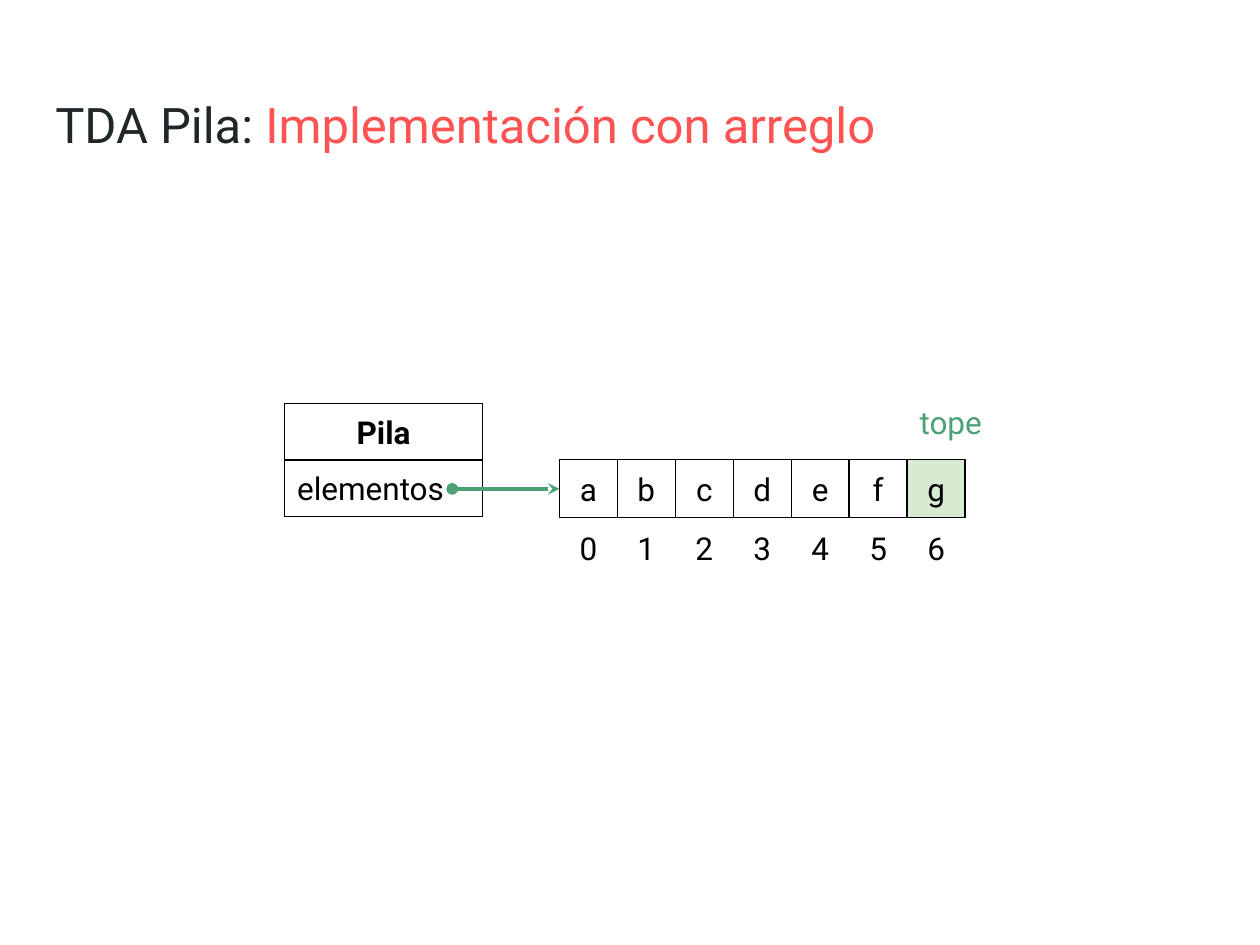
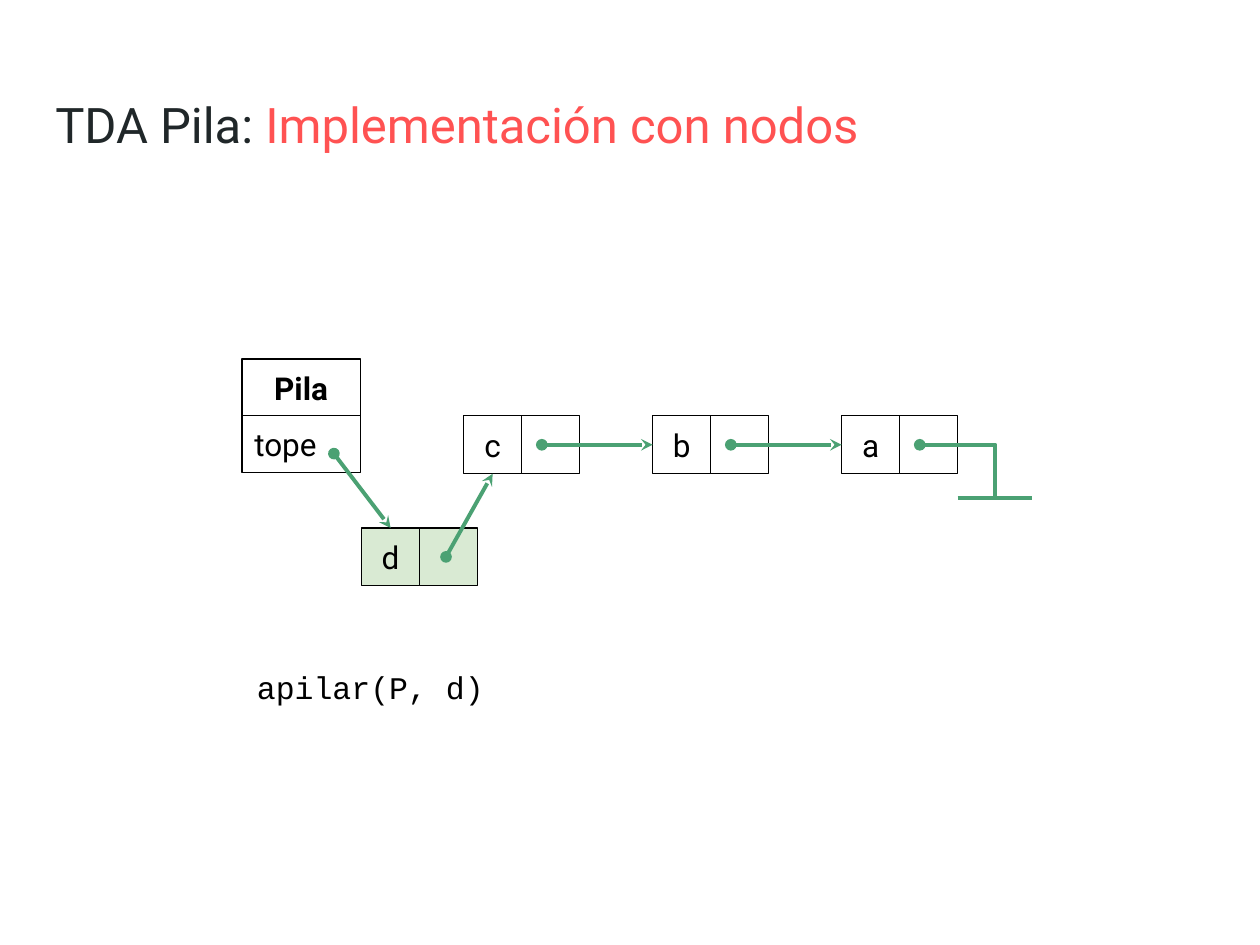
import pptx
import pptx.dml.color
import pptx.enum.shapes
import pptx.enum.text
import pptx.oxml.ns
import pptx.util
from lxml import etree

Inches = pptx.util.Inches
rgb = pptx.dml.color.RGBColor.from_string
qn = pptx.oxml.ns.qn
ALIGN = pptx.enum.text.PP_ALIGN
ANCHOR = pptx.enum.text.MSO_ANCHOR
RECT = pptx.enum.shapes.MSO_SHAPE.RECTANGLE
STRAIGHT = pptx.enum.shapes.MSO_CONNECTOR.STRAIGHT

DARK, RED, GREEN, BLACK = "202729", "FF5252", "4BA173", "000000"
WHITE, PALE = "FFFFFF", "D9EAD3"
CELL = 0.46
ROW = 0.45


def add_text(s, runs, x, y, w, h, size=18, font="Roboto", color=BLACK, bold=False,
             align=ALIGN.LEFT, anchor=ANCHOR.MIDDLE, framed=False, fill=None):
    """Add a text box, or a framed rectangle; runs is a string or (text, colour) pairs."""
    at = Inches(x), Inches(y), Inches(w), Inches(h)
    if framed:
        sp = s.shapes.add_shape(RECT, *at)
        sp.shadow.inherit = False
        sp.line.color.rgb = rgb(BLACK)
        sp.line.width = pptx.util.Pt(0.75)
    else:
        sp = s.shapes.add_textbox(*at)
    if fill:
        sp.fill.solid()
        sp.fill.fore_color.rgb = rgb(fill)
    else:
        sp.fill.background()
    tf = sp.text_frame
    tf.word_wrap = True
    tf.vertical_anchor = anchor
    tf.margin_left = tf.margin_right = tf.margin_top = tf.margin_bottom = Inches(0.1)
    p = tf.paragraphs[0]
    p.alignment = align
    for text, run_color in [(runs, color)] if isinstance(runs, str) else runs:
        r = p.add_run()
        r.text = text
        r.font.size = pptx.util.Pt(size)
        r.font.name = font
        r.font.bold = bold
        r.font.color.rgb = rgb(run_color)
    return sp


def style_line(sp, head=None, tail=None):
    sp.line.color.rgb = rgb(GREEN)
    sp.line.width = pptx.util.Pt(2.25)
    spPr = sp._element.spPr
    for tag, kind in (("a:headEnd", head), ("a:tailEnd", tail)):
        if kind:
            etree.SubElement(spPr.find(qn("a:ln")), qn(tag), type=kind)
    etree.SubElement(spPr, qn("a:effectLst"))


prs = pptx.Presentation()
prs.slide_width = Inches(10)
prs.slide_height = Inches(7.5)

# Title and stack record of both slides
slides = []
for topic, field, x, y, w in (("Implementación con arreglo", "elementos", 2.26, 3.2, 1.57),
                              ("Implementación con nodos", "tope", 1.92, 2.85, 0.94)):
    s = prs.slides.add_slide(prs.slide_layouts[6])
    add_text(s, [("TDA Pila: ", DARK), (topic, RED)], 0.34, 0.65, 9.32, 0.83,
             size=28, anchor=ANCHOR.TOP)
    add_text(s, "Pila", x, y, w, ROW, bold=True, align=ALIGN.CENTER, framed=True)
    add_text(s, field, x, y + ROW, w, ROW, framed=True)
    slides.append(s)
array_slide, node_slide = slides

# Array with its indices
array_cells = []
for i, letter in enumerate("abcdefg"):
    x = 4.44 + i * CELL
    array_cells.append(add_text(array_slide, letter, x, 3.65, CELL, CELL, align=ALIGN.CENTER,
                                framed=True, fill=PALE if letter == "g" else WHITE))
    add_text(array_slide, str(i), x, 4.1, CELL, 0.41, align=ALIGN.CENTER, anchor=ANCHOR.TOP)
add_text(array_slide, "tope", 7.2, 3.12, 1.57, ROW, color=GREEN)

# Linked nodes: a value cell and a pointer cell each
nodes = {}
for letter, x, y, fill in (("c", 3.68, 3.3, WHITE), ("b", 5.18, 3.3, WHITE),
                           ("a", 6.68, 3.3, WHITE), ("d", 2.87, 4.19, PALE)):
    nodes[letter] = add_text(node_slide, letter, x, y, CELL, CELL, align=ALIGN.CENTER,
                             framed=True, fill=fill)
    add_text(node_slide, "", x + CELL, y, CELL, CELL, framed=True, fill=fill)
add_text(node_slide, "apilar(P, d)", 1.94, 5.2, 2.48, 0.59, font="Courier New",
         anchor=ANCHOR.TOP)

# Pointers: arrowhead on the target cell, dot at the source
for s, target, side, x, y in ((array_slide, array_cells[0], 1, 3.59, 3.88),
                              (node_slide, nodes["b"], 1, 4.3, 3.53),
                              (node_slide, nodes["a"], 1, 5.8, 3.53),
                              (node_slide, nodes["d"], 0, 2.65, 3.6),
                              (node_slide, nodes["c"], 2, 3.54, 4.42)):
    pointer = s.shapes.add_connector(STRAIGHT, 0, 0, Inches(x), Inches(y))
    pointer.begin_connect(target, side)
    style_line(pointer, head="stealth", tail="oval")

# Null pointer that ends the list
builder = node_slide.shapes.build_freeform(Inches(7.3), Inches(3.53))
builder.add_line_segments([(Inches(7.9), Inches(3.53)), (Inches(7.9), Inches(3.95))], close=False)
null_pointer = builder.convert_to_shape()
null_pointer.fill.background()
style_line(null_pointer, head="oval")
ground = node_slide.shapes.add_connector(STRAIGHT, Inches(7.6), Inches(3.95),
                                         Inches(8.19), Inches(3.95))
style_line(ground)

prs.save("out.pptx")
